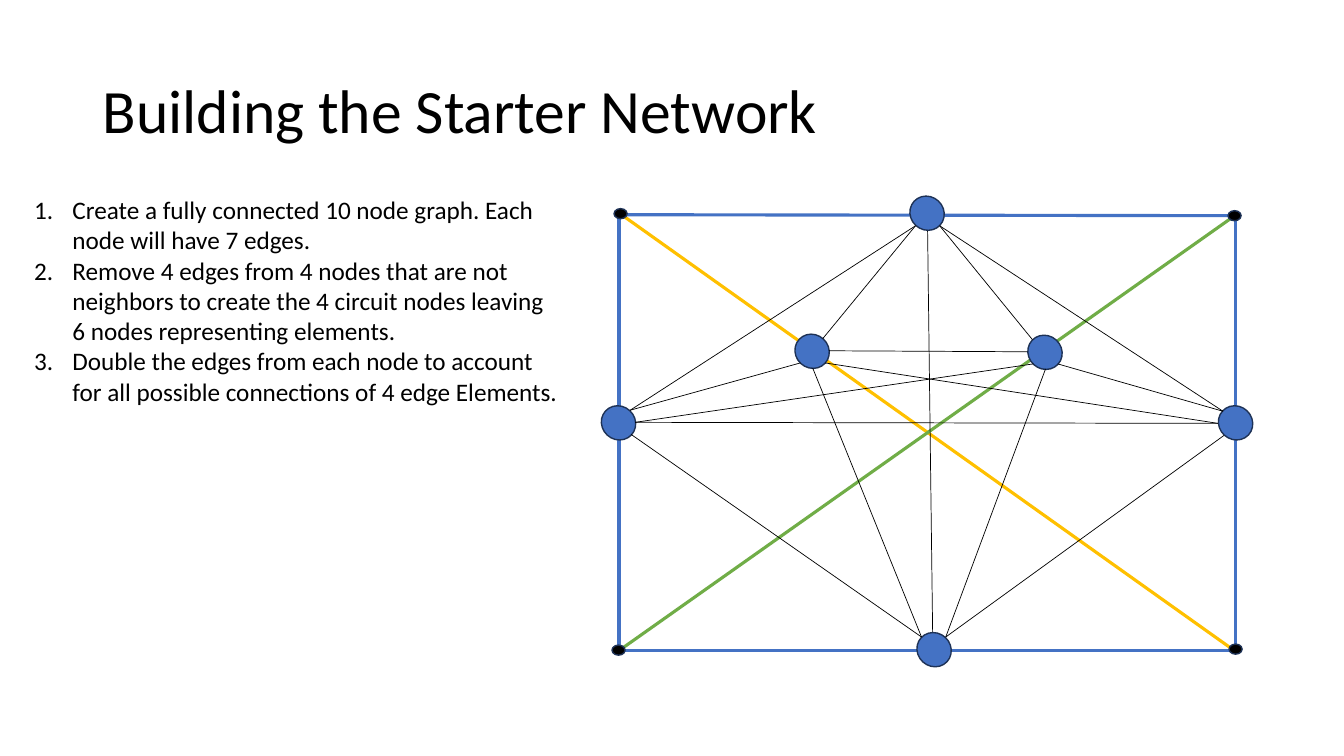
import pptx
import pptx.util
import pptx.dml.color
import pptx.enum.shapes
import pptx.enum.text
import pptx.oxml.ns
import lxml.etree

Inches = pptx.util.Inches
Pt = pptx.util.Pt
ANCHOR = pptx.enum.text.MSO_ANCHOR

BLACK, BLUE, NAVY = "000000", "4472C4", "1E3256"
GOLD, GREEN = "FFC000", "70AD47"

TITLE = "Building the Starter Network"
STEPS = [
    "Create a fully connected 10 node graph. Each node will have 7 edges.",
    "Remove 4 edges from 4 nodes that are not neighbors to create "
    "the 4 circuit nodes leaving 6 nodes representing elements.",
    "Double the edges from each node to account for all possible "
    "connections of 4 edge Elements.",
]

# Frame and diagonals: colour, start, end
FRAME = [
    (BLUE, (6.14, 2.13), (6.14, 6.45)),
    (BLUE, (12.25, 2.13), (12.25, 6.45)),
    (BLUE, (12.25, 2.14), (6.13, 2.13)),
    (BLUE, (12.26, 6.45), (6.13, 6.45)),
    (GOLD, (12.25, 6.46), (6.15, 2.12)),
    (GREEN, (12.26, 2.13), (6.16, 6.44)),
]

# Left and top of each circuit corner and each element node
CORNERS = [(6.09, 2.07), (12.18, 2.09), (12.19, 6.39), (6.07, 6.4)]
NODES = [(7.88, 3.32), (10.19, 3.33), (9.02, 1.95),
         (5.96, 4.03), (12.08, 4.03), (9.09, 6.28)]

# Thin edges that leave the bottom node, and those among the others
LOWER = [
    ((6.26, 4.31), (9.14, 6.32)),
    ((8.06, 3.65), (9.14, 6.32)),
    ((9.2, 2.29), (9.25, 6.27)),
    ((10.37, 3.66), (9.38, 6.32)),
    ((12.14, 4.32), (9.38, 6.32)),
]
UPPER = [
    ((6.3, 4.19), (12.08, 4.2)),
    ((6.3, 4.19), (10.25, 3.61)),
    ((6.25, 4.07), (7.94, 3.6)),
    ((6.25, 4.07), (9.08, 2.24)),
    ((12.13, 4.08), (9.32, 2.24)),
    ((12.13, 4.08), (10.49, 3.61)),
    ((12.08, 4.2), (8.18, 3.6)),
    ((10.24, 3.37), (9.32, 2.24)),
    ((8.16, 3.36), (9.08, 2.24)),
    ((8.22, 3.48), (10.19, 3.49)),
]


def color(value):
    return pptx.dml.color.RGBColor.from_string(value)


def add_tag(parent, name, **attrs):
    return lxml.etree.SubElement(parent, pptx.oxml.ns.qn(name), **attrs)


def add_edge(slide, start, end, hue=BLACK, width=0.5):
    kind = pptx.enum.shapes.MSO_CONNECTOR.STRAIGHT
    points = [Inches(n) for n in (*start, *end)]
    edge = slide.shapes.add_connector(kind, *points)
    edge.line.color.rgb = color(hue)
    edge.line.width = Pt(width)
    add_tag(edge._element.spPr, "a:effectLst")


def add_node(slide, place, size, hue, turn=0):
    kind = pptx.enum.shapes.MSO_SHAPE.OVAL
    box = [Inches(n) for n in (*place, *size)]
    node = slide.shapes.add_shape(kind, *box)
    node.rotation = turn
    node.shadow.inherit = False
    node.fill.solid()
    node.fill.fore_color.rgb = color(hue)
    node.line.color.rgb = color(NAVY)
    node.line.width = Pt(1)


def add_text(slide, box, lines, size, anchor=ANCHOR.TOP):
    frame = slide.shapes.add_textbox(*[Inches(n) for n in box]).text_frame
    frame.word_wrap = True
    frame.vertical_anchor = anchor
    frame.text = "\n".join(lines)
    for para in frame.paragraphs:
        for run in para.runs:
            run.font.name = "Calibri"
            run.font.size = Pt(size)
            run.font.color.rgb = color(BLACK)
    return frame


def add_numbers(frame, indent):
    for para in frame.paragraphs:
        props = para._p.get_or_add_pPr()
        props.set("marL", str(Inches(indent)))
        props.set("indent", str(-Inches(indent)))
        add_tag(props, "a:buFont", typeface="+mj-lt")
        add_tag(props, "a:buAutoNum", type="arabicPeriod")


def main():
    deck = pptx.Presentation()
    deck.slide_width = Inches(13.33)
    deck.slide_height = Inches(7.5)
    slide = deck.slides.add_slide(deck.slide_layouts[6])

    # Title
    title = add_text(slide, (0.92, 0.4, 7.8, 1.45), [TITLE], 44, ANCHOR.MIDDLE)
    title.paragraphs[0].line_spacing = 0.9

    # Frame and diagonals
    for hue, start, end in FRAME:
        add_edge(slide, start, end, hue, 2.25)

    # Circuit corners and element nodes
    for place in CORNERS:
        add_node(slide, place, (0.13, 0.1), BLACK)
    for place in NODES:
        add_node(slide, place, (0.35, 0.33), BLUE, 222.8)

    # Edges and numbered steps
    for start, end in LOWER:
        add_edge(slide, start, end)
    steps = add_text(slide, (0.24, 1.88, 5.42, 2.52), STEPS, 18)
    add_numbers(steps, 0.38)
    for start, end in UPPER:
        add_edge(slide, start, end)

    deck.save("out.pptx")


if __name__ == "__main__":
    main()
